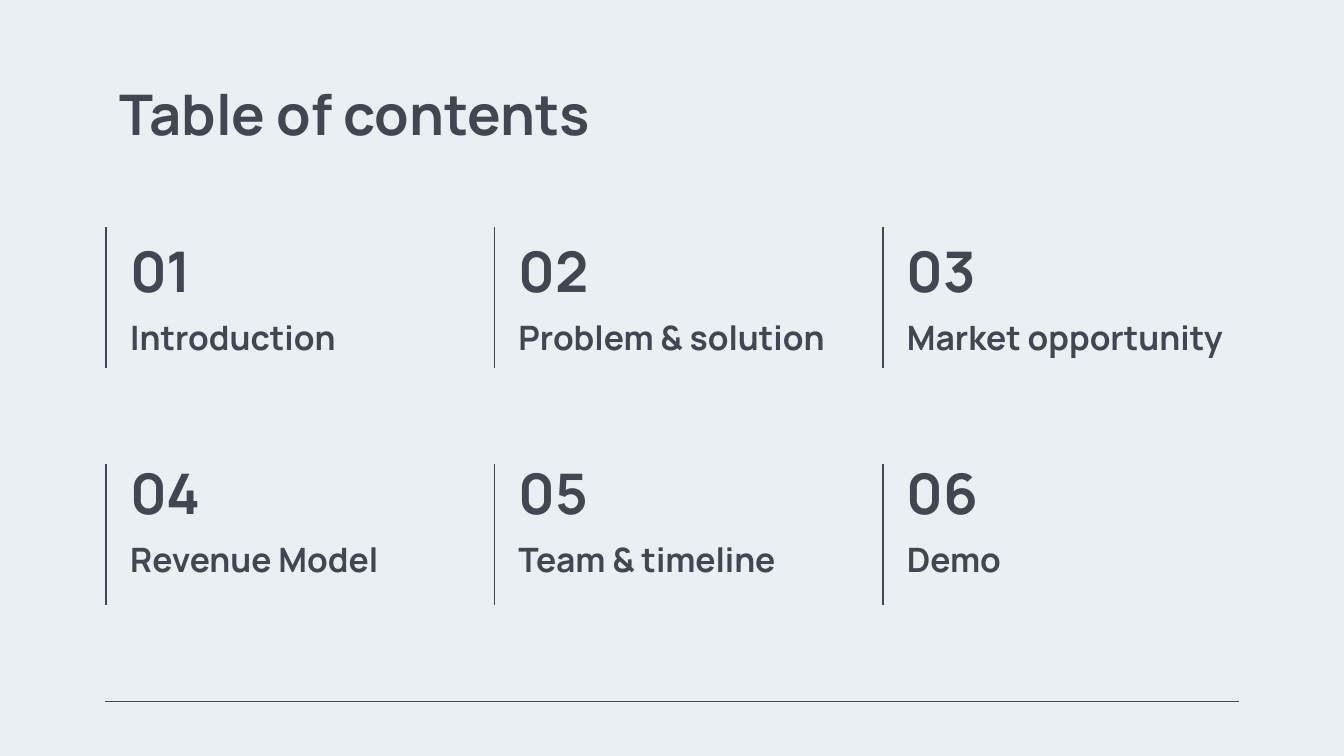
from pptx import Presentation
from pptx.dml.color import RGBColor
from pptx.enum.shapes import MSO_CONNECTOR
from pptx.enum.text import MSO_ANCHOR
from pptx.oxml.ns import qn
from pptx.util import Inches, Pt
from lxml import etree

STRAIGHT = MSO_CONNECTOR.STRAIGHT
TOP, BOTTOM = MSO_ANCHOR.TOP, MSO_ANCHOR.BOTTOM

FONT, INK, PAPER = "Manrope", "424651", "EAEFF4"
SLIDE_W = 10
SLIDE_H = SLIDE_W * 9 / 16

# Grid of topics: three columns, two rows
LEFT, COL_STEP, COLS = 0.79, 2.89, 3
TEXT_INDENT = 0.08
NUMBER_TOP, ROW_STEP = 1.73, 1.65
SUBTITLE_DROP = 0.53
RULE_TOP, RULE_STEP, RULE_H = 1.69, 1.76, 1.05

TOPICS = [
    "Introduction", "Problem & solution", "Market opportunity",
    "Revenue Model", "Team & timeline", "Demo",
]


def color(hex_text):
    return RGBColor.from_string(hex_text)


def add_text(slide, text, x, y, w, h, size=18, anchor=TOP):
    box = slide.shapes.add_textbox(Inches(x), Inches(y), Inches(w), Inches(h))
    tf = box.text_frame
    tf.word_wrap = True
    tf.vertical_anchor = anchor
    tf.margin_left = tf.margin_right = Inches(0.1)
    tf.margin_top = tf.margin_bottom = Inches(0.1)
    r = tf.paragraphs[0].add_run()
    r.text = text
    r.font.name = FONT
    r.font.size = Pt(size)
    r.font.bold = True
    r.font.color.rgb = color(INK)


def add_rule(slide, x1, y1, x2, y2):
    line = slide.shapes.add_connector(
        STRAIGHT, Inches(x1), Inches(y1), Inches(x2), Inches(y2))
    line.line.color.rgb = color(INK)
    line.line.width = Pt(0.75)
    etree.SubElement(line._element.spPr, qn("a:effectLst"))


def add_topic(slide, index, label):
    row, col = divmod(index, COLS)
    x = LEFT + col * COL_STEP
    y = NUMBER_TOP + row * ROW_STEP
    rule_y = RULE_TOP + row * RULE_STEP
    add_text(slide, f"{index + 1:02d}", x + TEXT_INDENT, y, 0.8, 0.63,
             size=30, anchor=BOTTOM)
    add_text(slide, label, x + TEXT_INDENT, y + SUBTITLE_DROP, 2.57, 0.48)
    add_rule(slide, x, rule_y + RULE_H, x, rule_y)


def main():
    prs = Presentation()
    prs.slide_width, prs.slide_height = Inches(SLIDE_W), Inches(SLIDE_H)
    slide = prs.slides.add_slide(prs.slide_layouts[6])
    slide.background.fill.solid()
    slide.background.fill.fore_color.rgb = color(PAPER)

    # Footer rule and title
    add_rule(slide, 0.78, 5.22, SLIDE_W - 0.78, 5.22)
    add_text(slide, "Table of contents", LEFT, 0.49, 8.43, 0.63, size=30)

    # Numbered topics
    for index, label in enumerate(TOPICS):
        add_topic(slide, index, label)

    prs.save("out.pptx")


if __name__ == "__main__":
    main()
